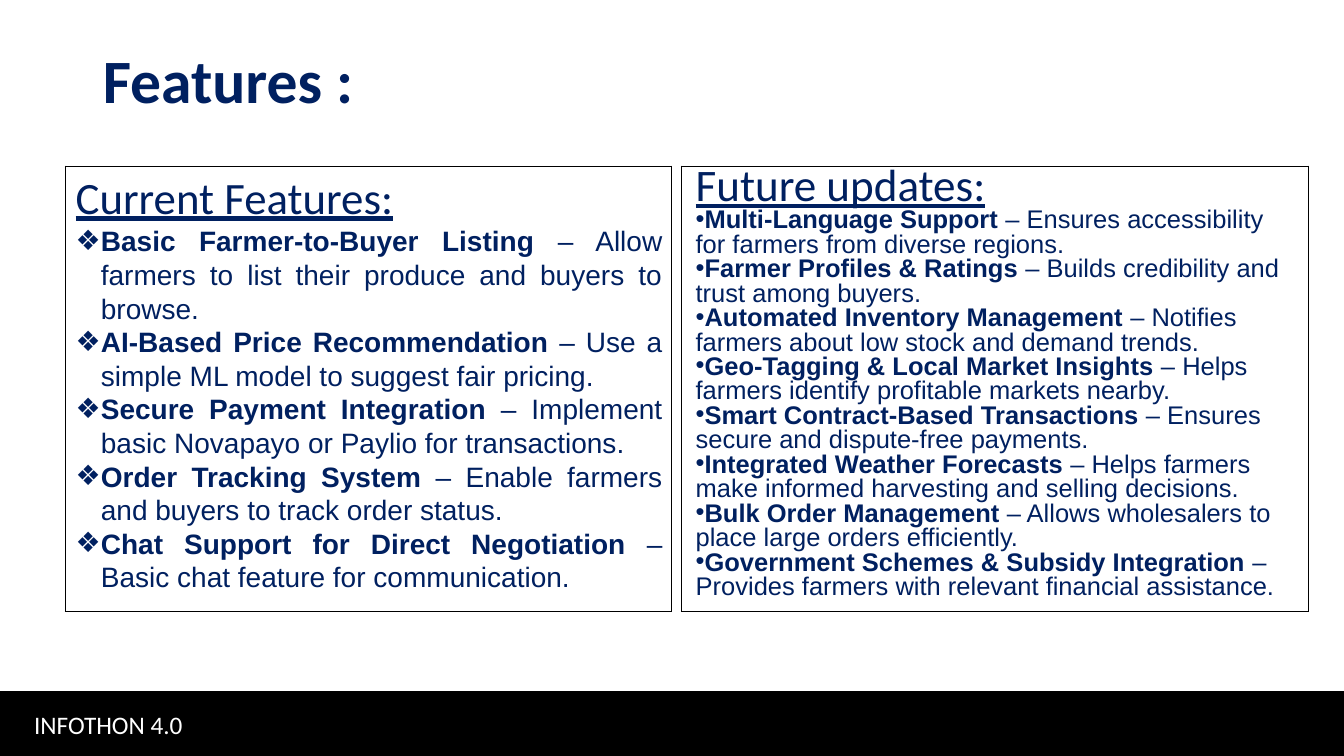
import pptx
import pptx.util
import pptx.dml.color
import pptx.enum.shapes
import pptx.enum.text
import pptx.oxml
import pptx.oxml.ns

RGBColor = pptx.dml.color.RGBColor
NAVY = RGBColor(0x00, 0x20, 0x60)
BLACK = RGBColor(0x00, 0x00, 0x00)
WHITE = RGBColor(0xFF, 0xFF, 0xFF)
HEADING_FONT, LIST_FONT = "Calibri", "Arial"
WIDTH, HEIGHT = 13.33, 7.5
ALIGN = pptx.enum.text.PP_ALIGN
ANCHOR = pptx.enum.text.MSO_ANCHOR

CURRENT_FEATURES = [
    ("Basic Farmer-to-Buyer Listing", "Allow farmers to list their produce and buyers to browse."),
    ("AI-Based Price Recommendation", "Use a simple ML model to suggest fair pricing."),
    ("Secure Payment Integration", "Implement basic Novapayo or Paylio for transactions."),
    ("Order Tracking System", "Enable farmers and buyers to track order status."),
    ("Chat Support for Direct Negotiation", "Basic chat feature for communication."),
]
FUTURE_UPDATES = [
    ("Multi-Language Support", "Ensures accessibility for farmers from diverse regions."),
    ("Farmer Profiles & Ratings", "Builds credibility and trust among buyers."),
    ("Automated Inventory Management", "Notifies farmers about low stock and demand trends."),
    ("Geo-Tagging & Local Market Insights", "Helps farmers identify profitable markets nearby."),
    ("Smart Contract-Based Transactions", "Ensures secure and dispute-free payments."),
    ("Integrated Weather Forecasts", "Helps farmers make informed harvesting and selling decisions."),
    ("Bulk Order Management", "Allows wholesalers to place large orders efficiently."),
    ("Government Schemes & Subsidy Integration", "Provides farmers with relevant financial assistance."),
]


class SlideBuilder:
    """Holds the slide; every place is (left, top, width, height) in percent of its size."""

    def __init__(self, deck):
        self.slide = deck.slides.add_slide(deck.slide_layouts.get_by_name("Two Content"))
        self.width, self.height = deck.slide_width, deck.slide_height

    def area(self, place):
        sides = (self.width, self.height) * 2
        return [round(side * share / 100) for side, share in zip(sides, place)]

    def style(self, span, size, font, color, bold=False, underline=False):
        span.font.size = pptx.util.Pt(size)
        span.font.name = font
        span.font.color.rgb = color
        span.font.bold = bold
        span.font.underline = underline

    def placeholder(self, index, place, anchor):
        box = self.slide.placeholders[index]
        box.left, box.top, box.width, box.height = self.area(place)
        frame = box.text_frame
        frame.auto_size = pptx.enum.text.MSO_AUTO_SIZE.NONE
        frame.word_wrap = True
        frame.vertical_anchor = anchor
        return frame

    def title(self, place, text):
        frame = self.placeholder(0, place, ANCHOR.MIDDLE)
        frame.text = text
        para = frame.paragraphs[0]
        para.alignment = ALIGN.LEFT
        para.line_spacing = 0.9
        self.style(para.runs[0], 44, HEADING_FONT, NAVY, bold=True)

    def set_bullet(self, para, mark, indent):
        """Set the bullet character and its hanging indent in inches; no mark means no bullet."""
        properties = para._p.get_or_add_pPr()
        properties.set("marL", str(pptx.util.Inches(indent)))
        properties.set("indent", str(-pptx.util.Inches(indent)))
        tag = "a:buChar" if mark else "a:buNone"
        bullet = pptx.oxml.parse_xml(f"<{tag} {pptx.oxml.ns.nsdecls('a')}/>")
        if mark:
            bullet.set("char", mark)
        properties.append(bullet)

    def feature_list(self, index, place, heading, heading_size, heading_spacing,
                     items, size, spacing, align, mark, indent):
        frame = self.placeholder(index, place, ANCHOR.TOP)
        frame.text = heading
        para = frame.paragraphs[0]
        para.alignment = ALIGN.JUSTIFY
        para.line_spacing = heading_spacing
        para.space_before = pptx.util.Pt(10)
        self.set_bullet(para, None, 0)
        self.style(para.runs[0], heading_size, HEADING_FONT, NAVY, underline=True)
        for name, detail in items:
            para = frame.add_paragraph()
            para.alignment = align
            para.line_spacing = spacing
            para.space_before = pptx.util.Pt(0)
            self.set_bullet(para, mark, indent)
            for text, bold in ((name, True), (f" – {detail}", False)):
                span = para.add_run()
                span.text = text
                self.style(span, size, LIST_FONT, NAVY, bold=bold)

    def bar(self, place):
        shape = self.slide.shapes.add_shape(
            pptx.enum.shapes.MSO_SHAPE.RECTANGLE, *self.area(place))
        shape.shadow.inherit = False
        shape.fill.solid()
        shape.fill.fore_color.rgb = BLACK
        shape.line.color.rgb = BLACK
        shape.line.width = pptx.util.Pt(1)

    def label(self, place, text):
        box = self.slide.shapes.add_textbox(*self.area(place))
        box.text_frame.word_wrap = True
        box.text_frame.text = text
        self.style(box.text_frame.paragraphs[0].runs[0], 18, HEADING_FONT, WHITE)

    def frame_table(self, place):
        """Add a one-cell table that shows only its border."""
        table = self.slide.shapes.add_table(1, 1, *self.area(place)).table
        table.first_row = table.horz_banding = False
        cell = table.cell(0, 0)
        properties = cell._tc.get_or_add_tcPr()
        for side in "LRTB":
            properties.append(pptx.oxml.parse_xml(
                f'<a:ln{side} {pptx.oxml.ns.nsdecls("a")} w="{pptx.util.Pt(1)}">'
                f'<a:solidFill><a:srgbClr val="{BLACK}"/></a:solidFill></a:ln{side}>'))
        cell.fill.background()


def main():
    deck = pptx.Presentation()
    deck.slide_width = pptx.util.Inches(WIDTH)
    deck.slide_height = pptx.util.Inches(HEIGHT)
    page = SlideBuilder(deck)
    page.title((6.9, 1.33, 86.27, 19.33), "Features :")
    page.feature_list(1, (4.88, 22.53, 45.16, 64.13), "Current Features:", 32, 0.9,
                      CURRENT_FEATURES, 20, 1, ALIGN.JUSTIFY, "❖", 0.25)
    page.bar((0, 91.47, 100, 8.53))
    page.label((1.8, 93.2, 14.33, 5.33), "INFOTHON 4.0")
    page.feature_list(2, (51.01, 22, 46.14, 69.33), "Future updates:", 32.2, 0.7,
                      FUTURE_UPDATES, 18.2, 0.8, ALIGN.LEFT, "•", 0)
    for left, width in ((4.88, 45.09), (50.71, 46.66)):
        page.frame_table((left, 22, width, 58.93))
    deck.save("out.pptx")


if __name__ == "__main__":
    main()
